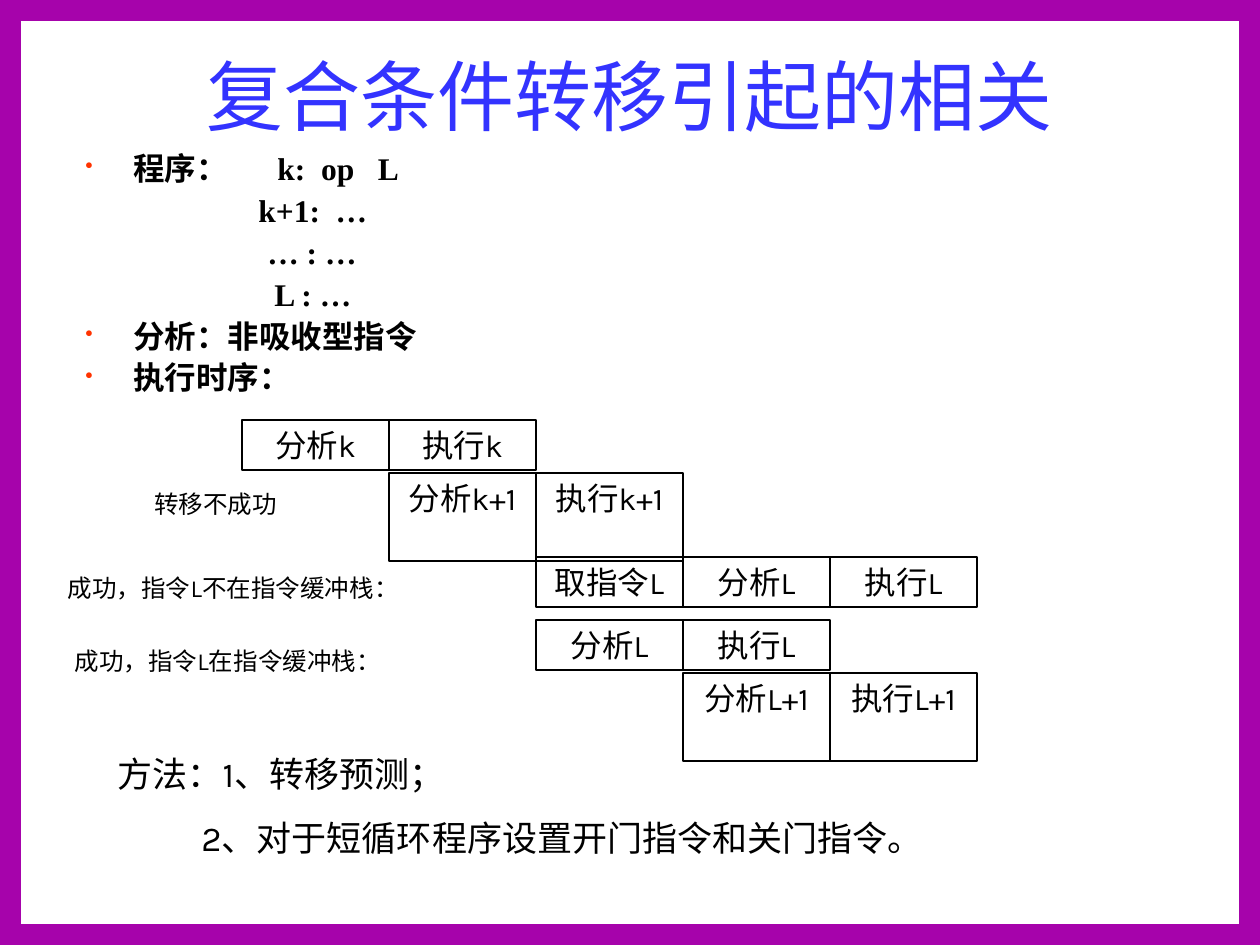
from dataclasses import dataclass

from lxml.etree import SubElement
from pptx import Presentation
from pptx.dml.color import RGBColor
from pptx.enum.shapes import MSO_SHAPE
from pptx.enum.text import MSO_ANCHOR, PP_ALIGN
from pptx.oxml.ns import qn
from pptx.slide import Slide
from pptx.text.text import TextFrame, _Paragraph
from pptx.util import Emu, Pt

PX_PER_INCH = 126
SLIDE_WIDTH, SLIDE_HEIGHT = 1260, 945


@dataclass(frozen=True)
class Theme:
    frame: str = "A603AB"
    title: str = "3333FF"
    bullet: str = "FF3300"
    ink: str = "000000"
    sans: str = "Karla"
    serif: str = "Times New Roman"
    title_size: int = 44
    method_size: int = 20
    body_size: int = 18
    label_size: int = 14
    border: float = 0.75


THEME = Theme()


@dataclass(frozen=True)
class Area:
    left: int
    top: int
    width: int
    height: int


@dataclass(frozen=True)
class Line:
    text: str
    indent: int = 0
    bullet: bool = False
    tab: int = 0


@dataclass(frozen=True)
class StageRow:
    """Consecutive pipeline stages, starting at a time slot."""
    first_slot: int
    top: int
    height: int
    stages: tuple[str, ...]


@dataclass(frozen=True)
class Label:
    text: str
    area: Area


FRAME = 21
FRAME_BARS = (
    Area(0, 0, SLIDE_WIDTH, FRAME),
    Area(0, SLIDE_HEIGHT - FRAME, SLIDE_WIDTH, FRAME),
    Area(0, 0, FRAME, SLIDE_HEIGHT),
    Area(SLIDE_WIDTH - FRAME, 0, FRAME, SLIDE_HEIGHT),
)

BULLET_INDENT = 48
PROGRAM = (
    Line("程序：\tk:  op   L", BULLET_INDENT, True, 192),
    Line("k+1:  …", 173),
    Line("… : …", 182),
    Line("L : …", 189),
    Line("分析：非吸收型指令", BULLET_INDENT, True),
    Line("执行时序：", BULLET_INDENT, True),
)
METHODS = (
    Line("方法：1、转移预测；"),
    Line("2、对于短循环程序设置开门指令和关门指令。", 84),
)

SLOT_LEFT, SLOT_WIDTH = 242, 147
SHORT, TALL = 50, 88
TIMING = (
    StageRow(0, 420, SHORT, ("分析k", "执行k")),
    StageRow(1, 473, TALL, ("分析k+1", "执行k+1")),
    StageRow(2, 557, SHORT, ("取指令L", "分析L", "执行L")),
    StageRow(2, 620, SHORT, ("分析L", "执行L")),
    StageRow(3, 673, TALL, ("分析L+1", "执行L+1")),
)
LABELS = (
    Label("转移不成功", Area(63, 483, 305, 43)),
    Label("成功，指令L不在指令缓冲栈：", Area(53, 567, 336, 72)),
    Label("成功，指令L在指令缓冲栈：", Area(53, 640, 325, 43)),
)


def px(length: int) -> Emu:
    return Emu(round(length * 914400 / PX_PER_INCH))


def bounds(area: Area) -> tuple[Emu, Emu, Emu, Emu]:
    return px(area.left), px(area.top), px(area.width), px(area.height)


def style(paragraph: _Paragraph, size: int, color: str = THEME.ink,
          font: str = THEME.sans, bold: bool = False) -> None:
    for run in paragraph.runs:
        run.font.size = Pt(size)
        run.font.name = font
        run.font.bold = bold
        run.font.color.rgb = RGBColor.from_string(color)


def add_text_frame(slide: Slide, area: Area) -> TextFrame:
    frame = slide.shapes.add_textbox(*bounds(area)).text_frame
    frame.word_wrap = True
    return frame


def add_centred_text(slide: Slide, text: str, area: Area, size: int,
                     color: str = THEME.ink) -> TextFrame:
    frame = add_text_frame(slide, area)
    frame.text = text
    frame.paragraphs[0].alignment = PP_ALIGN.CENTER
    style(frame.paragraphs[0], size, color)
    return frame


def format_indent(paragraph: _Paragraph, line: Line) -> None:
    """Set the left indent, then the bullet and the tab stop."""
    properties = paragraph._p.get_or_add_pPr()
    properties.set("marL", str(px(line.indent)))
    properties.set("indent", str(px(-line.indent if line.bullet else 0)))
    if line.bullet:
        bullet_color = SubElement(properties, qn("a:buClr"))
        SubElement(bullet_color, qn("a:srgbClr"), val=THEME.bullet)
        SubElement(properties, qn("a:buSzPct"), val="70000")
        SubElement(properties, qn("a:buChar"), char="•")
    else:
        SubElement(properties, qn("a:buNone"))
    if line.tab:
        tabs = SubElement(properties, qn("a:tabLst"))
        SubElement(tabs, qn("a:tab"), pos=str(px(line.tab)), algn="l")


def add_lines(slide: Slide, lines: tuple[Line, ...], area: Area, size: int,
              space_before: float, line_spacing: float = 1.0,
              font: str = THEME.sans, bold: bool = False) -> None:
    frame = add_text_frame(slide, area)
    frame.text = "\n".join(line.text for line in lines)
    for index, (paragraph, line) in enumerate(zip(frame.paragraphs, lines)):
        paragraph.line_spacing = line_spacing
        paragraph.space_before = Pt(space_before if index else 0)
        format_indent(paragraph, line)
        style(paragraph, size, font=font, bold=bold)


def add_frame_bar(slide: Slide, area: Area) -> None:
    bar = slide.shapes.add_shape(MSO_SHAPE.RECTANGLE, *bounds(area))
    bar.shadow.inherit = False
    bar.fill.solid()
    bar.fill.fore_color.rgb = RGBColor.from_string(THEME.frame)
    bar.line.fill.background()


def add_stage(slide: Slide, text: str, area: Area) -> None:
    stage = slide.shapes.add_shape(MSO_SHAPE.RECTANGLE, *bounds(area))
    stage.shadow.inherit = False
    stage.fill.background()
    stage.line.color.rgb = RGBColor.from_string(THEME.ink)
    stage.line.width = Pt(THEME.border)
    frame = stage.text_frame
    frame.text = text
    frame.word_wrap = True
    frame.vertical_anchor = MSO_ANCHOR.TOP
    frame.paragraphs[0].alignment = PP_ALIGN.CENTER
    style(frame.paragraphs[0], THEME.body_size)


def add_stage_row(slide: Slide, row: StageRow) -> None:
    for slot, text in enumerate(row.stages, row.first_slot):
        left = SLOT_LEFT + slot * SLOT_WIDTH
        add_stage(slide, text, Area(left, row.top, SLOT_WIDTH, row.height))


def main() -> None:
    deck = Presentation()
    deck.slide_width, deck.slide_height = px(SLIDE_WIDTH), px(SLIDE_HEIGHT)
    slide = deck.slides.add_slide(deck.slide_layouts[6])
    for bar in FRAME_BARS:
        add_frame_bar(slide, bar)
    title = add_centred_text(slide, "复合条件转移引起的相关", Area(63, 42, 1134, 105),
                             THEME.title_size, THEME.title)
    title.vertical_anchor = MSO_ANCHOR.BOTTOM
    add_lines(slide, PROGRAM, Area(73, 147, 1134, 262), THEME.body_size,
              4.5, 0.9, THEME.serif, True)
    for row in TIMING:
        add_stage_row(slide, row)
    for label in LABELS:
        add_centred_text(slide, label.text, label.area, THEME.label_size)
    add_lines(slide, METHODS, Area(105, 746, 945, 118), THEME.method_size, 12.5)
    deck.save("out.pptx")


if __name__ == "__main__":
    main()
